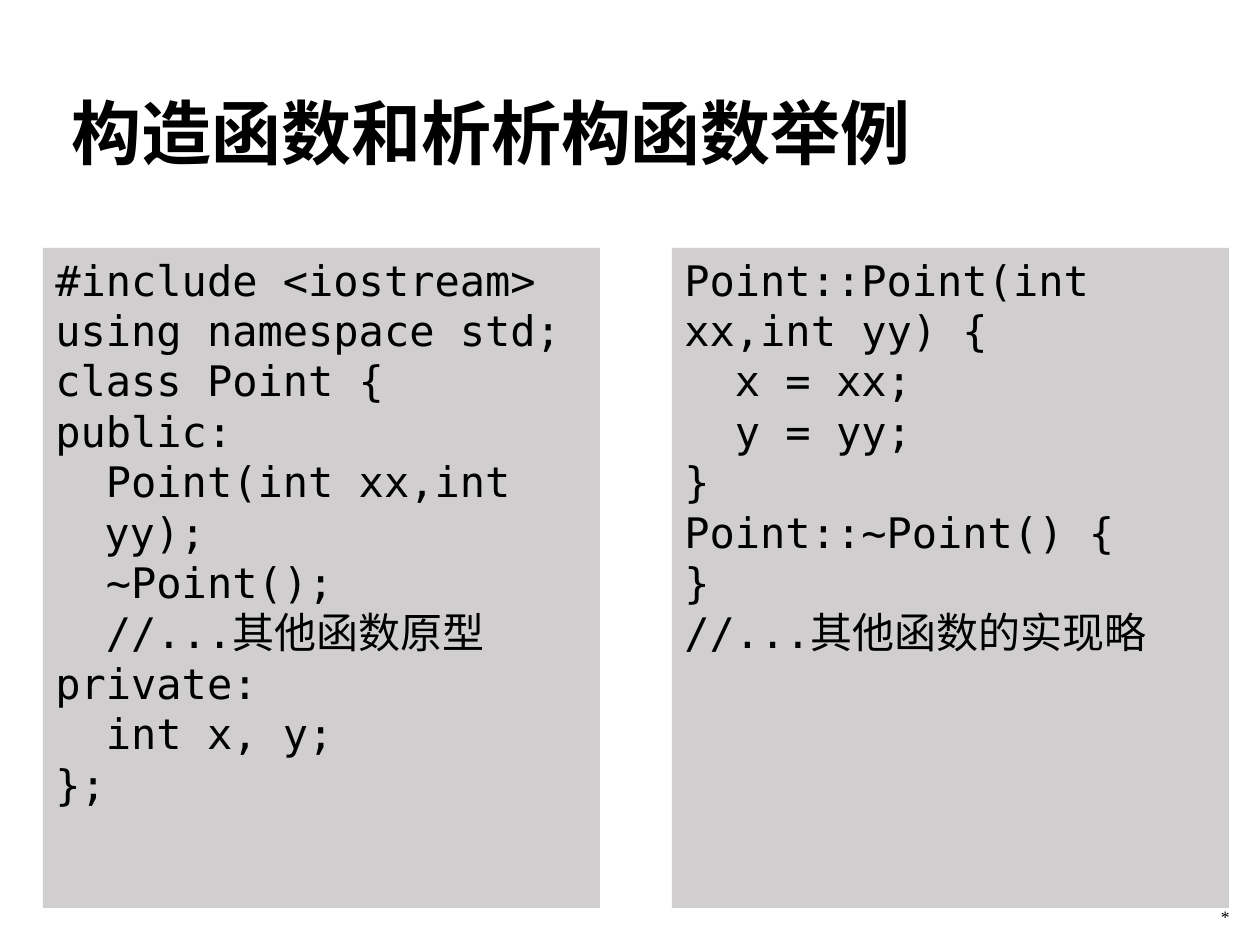
"""Build a slide that shows a constructor and destructor example in two code panels."""
from dataclasses import dataclass

from pptx import Presentation
from pptx import util as u
from pptx.dml.color import RGBColor
from pptx.enum import shapes, text

PX = u.Inches(1) / 126


@dataclass(frozen=True)
class Theme:
    ink: RGBColor = RGBColor(0x00, 0x00, 0x00)
    panel: RGBColor = RGBColor(0xD0, 0xCE, 0xCE)
    title_font: str = "Calibri"
    code_font: str = "DejaVu Sans Mono"
    mark_font: str = "Times New Roman"
    title_size: int = 40
    code_size: int = 24
    mark_size: int = 10


THEME = Theme()
TITLE = "构造函数和析析构函数举例"
DECLARATION = """#include <iostream>
using namespace std;
class Point {
public:
  Point(int xx,int yy);
  ~Point();
  //...其他函数原型
private:
  int x, y;
};"""
DEFINITION = """Point::Point(int xx,int yy) {
  x = xx;
  y = yy;
}
Point::~Point() {
}
//...其他函数的实现略"""


def px(n):
    return u.Emu(round(n * PX))


def write(sp, content, font, size, align, anchor, bold=False):
    tf = sp.text_frame
    tf.text = content
    tf.word_wrap = True
    tf.auto_size = text.MSO_AUTO_SIZE.NONE
    tf.vertical_anchor = anchor
    for p in tf.paragraphs:
        p.alignment = align
        for r in p.runs:
            r.font.name = font
            r.font.size = u.Pt(size)
            r.font.bold = bold
            r.font.color.rgb = THEME.ink


def add_title(s, content, x, y, w, h):
    sp = s.shapes.title
    sp.left, sp.top, sp.width, sp.height = map(px, (x, y, w, h))
    write(sp, content, THEME.title_font, THEME.title_size,
          text.PP_ALIGN.LEFT, text.MSO_ANCHOR.BOTTOM, bold=True)
    sp.text_frame.paragraphs[0].line_spacing = 0.9


def add_code_panel(s, code, x, y, w, h, hang=0):
    sp = s.shapes.add_shape(shapes.MSO_SHAPE.RECTANGLE, *map(px, (x, y, w, h)))
    sp.shadow.inherit = False
    sp.fill.solid()
    sp.fill.fore_color.rgb = THEME.panel
    sp.line.fill.background()
    write(sp, code, THEME.code_font, THEME.code_size,
          text.PP_ALIGN.LEFT, text.MSO_ANCHOR.TOP)
    if hang:
        for p in sp.text_frame.paragraphs:
            pPr = p._p.get_or_add_pPr()
            pPr.set("marL", str(px(hang)))
            pPr.set("indent", str(-px(hang)))


def add_mark(s, content, x, y, w, h):
    sp = s.shapes.add_textbox(*map(px, (x, y, w, h)))
    write(sp, content, THEME.mark_font, THEME.mark_size,
          text.PP_ALIGN.RIGHT, text.MSO_ANCHOR.BOTTOM)


def main():
    prs = Presentation()
    prs.slide_width, prs.slide_height = px(1260), px(945)
    s = prs.slides.add_slide(prs.slide_layouts[5])
    add_title(s, TITLE, 59, 59, 1142, 122)
    add_code_panel(s, DECLARATION, 43, 248, 557, 660, hang=49)
    add_code_panel(s, DEFINITION, 672, 248, 557, 660)
    add_mark(s, "*", 1192, 883, 50, 50)
    prs.save("out.pptx")


if __name__ == "__main__":
    main()
